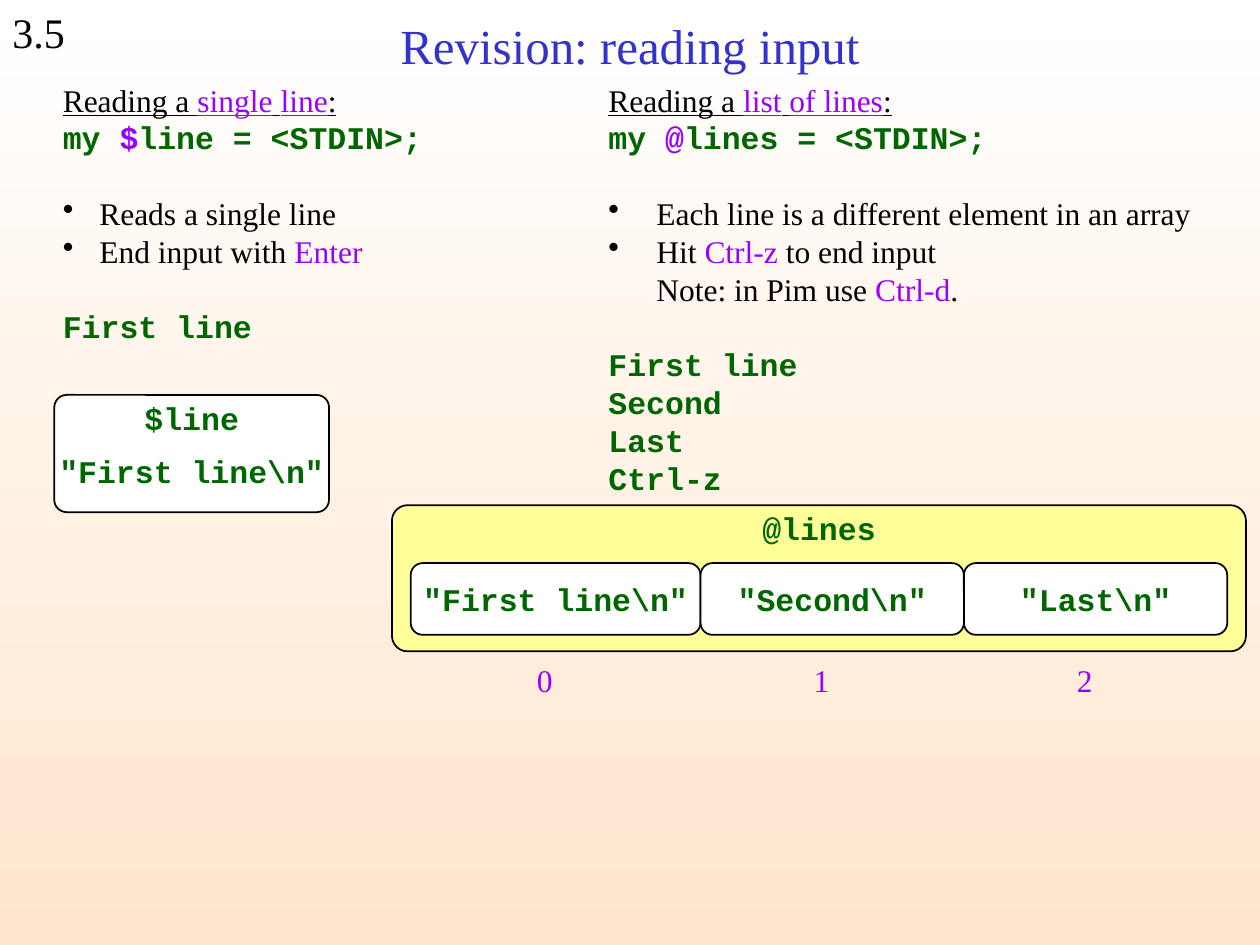
from pptx import Presentation
from pptx.dml.color import RGBColor
from pptx.enum.shapes import MSO_SHAPE
from pptx.enum.text import MSO_ANCHOR, PP_ALIGN
from pptx.oxml.ns import qn
from pptx.util import Pt
from lxml.etree import SubElement

# Theme
THEME = {
    "serif": "Times New Roman", "mono": "Courier New",
    "black": "000000", "title": "3333CC", "code": "006600", "mark": "9900FF",
    "white": "FFFFFF", "array": "FFFF99", "peach": "FFE5CD",
    "body": 18, "head": 28, "number": 24, "pitch": 21.6,
}

# Content: paragraphs are (style, gap before in lines, text); *...* is marked
NUMBER = "3.5"
TITLE = "Revision: reading input"
COLUMNS = [
    # left, width, indent, paragraphs
    (28.8, 300, 20.9, [
        ("under", 0, "Reading a *single* *line*:"),
        ("code", 0, "my *$*line = <STDIN>;"),
        ("bullet", 1, "Reads a single line"),
        ("bullet", 0, "End input with *Enter*"),
        ("code", 1, "First line"),
    ]),
    (340.6, 354, 27.4, [
        ("under", 0, "Reading a *list* *of lines*:"),
        ("code", 0, "my *@*lines = <STDIN>;"),
        ("bullet", 1, "Each line is a different element in an array"),
        ("bullet", 0, "Hit *Ctrl-z* to end input\vNote: in Pim use *Ctrl-d*."),
        ("code", 1, "First line"),
        ("code", 0, "Second"),
        ("code", 0, "Last"),
        ("code", 0, "Ctrl-z"),
    ]),
]
SCALAR = ("$line", r'"First line\n"')
ARRAY = ("@lines", [(r'"First line\n"', 165.6), (r'"Second\n"', 150.5),
                    (r'"Last\n"', 150.5)])


def color(name):
    return RGBColor.from_string(THEME[name])


def style(para, face, size, bold=False):
    font = para.font
    font.name, font.size, font.bold = THEME[face], Pt(THEME[size]), bold


def write(para, text, base):
    """Fill a paragraph, giving the *starred* parts the mark colour."""
    for i, part in enumerate(text.split("*")):
        for j, line in enumerate(part.split("\v")):
            if j:
                para.add_line_break()
            if line:
                run = para.add_run()
                run.text = line
                run.font.color.rgb = color("mark" if i % 2 else base)


def label(shapes, box, text, face="serif", size="body", base="black",
          align=PP_ALIGN.LEFT, anchor=MSO_ANCHOR.TOP):
    frame = shapes.add_textbox(*map(Pt, box)).text_frame
    frame.word_wrap, frame.vertical_anchor = True, anchor
    para = frame.paragraphs[0]
    para.alignment = align
    style(para, face, size, face == "mono")
    write(para, text, base)


def panel(shapes, box, fill, round_by, text=""):
    shape = shapes.add_shape(MSO_SHAPE.ROUNDED_RECTANGLE, *map(Pt, box))
    shape.shadow.inherit = False
    shape.adjustments[0] = round_by
    if fill:
        shape.fill.solid()
        shape.fill.fore_color.rgb = color(fill)
        shape.line.color.rgb = color("black")
        shape.line.width = Pt(1)
    else:
        shape.fill.background()
        shape.line.fill.background()
    if text:
        frame = shape.text_frame
        frame.word_wrap, frame.vertical_anchor = False, MSO_ANCHOR.MIDDLE
        para = frame.paragraphs[0]
        para.alignment = PP_ALIGN.CENTER
        style(para, "mono", "body", True)
        write(para, text, "code")


def column(shapes, left, width, indent, paras):
    box = shapes.add_textbox(Pt(left), Pt(42.5), Pt(width), Pt(324))
    frame = box.text_frame
    frame.word_wrap = True
    for i, (kind, gap, text) in enumerate(paras):
        para = frame.paragraphs[0] if i == 0 else frame.add_paragraph()
        para.line_spacing = Pt(THEME["pitch"])
        if gap:
            para.space_before = Pt(gap * THEME["pitch"])
        props = para._p.get_or_add_pPr()
        props.set("marL", str(Pt(indent)))
        props.set("indent", str(-Pt(indent)))
        if kind == "bullet":
            tint = SubElement(props, qn("a:buClr"))
            SubElement(tint, qn("a:srgbClr")).set("val", THEME["black"])
            SubElement(props, qn("a:buChar")).set("char", "•")
        code = kind == "code"
        style(para, "mono" if code else "serif", "body", code)
        para.font.underline = kind == "under"
        write(para, text, "code" if code else "black")


def indexes(shapes, stops):
    """One line of indexes, each centred on its own tab stop."""
    left = 263.5
    box = shapes.add_textbox(Pt(left), Pt(372.2), Pt(448.6), Pt(31))
    para = box.text_frame.paragraphs[0]
    box.text_frame.word_wrap = True
    para.line_spacing = 1.1
    tabs = SubElement(para._p.get_or_add_pPr(), qn("a:tabLst"))
    for stop in stops:
        tab = SubElement(tabs, qn("a:tab"))
        tab.set("pos", str(Pt(stop - left - 7.2)))
        tab.set("algn", "ctr")
    style(para, "serif", "body")
    write(para, "".join(f"\t{i}" for i in range(len(stops))), "mark")


def main():
    deck = Presentation()
    deck.slide_width, deck.slide_height = Pt(720), Pt(540)
    slide = deck.slides.add_slide(deck.slide_layouts[6])
    shapes = slide.shapes

    # Background
    back = slide.background.fill
    back.gradient()
    back.gradient_angle = 270
    for stop, name in zip(back.gradient_stops, ("white", "peach")):
        stop.color.rgb = color(name)

    # Number, title and the two columns
    label(shapes, (0, 0, 93.6, 36), NUMBER, size="number")
    label(shapes, (54, -19.4, 612, 90), TITLE, size="head", base="title",
          align=PP_ALIGN.CENTER, anchor=MSO_ANCHOR.MIDDLE)
    for col in COLUMNS:
        column(shapes, *col)

    # Scalar variable
    name, value = SCALAR
    group = shapes.add_group_shape().shapes
    panel(group, (31, 225.7, 157, 67), "white", 0.106)
    label(group, (31, 224.4, 157, 28.8), name, "mono", base="code",
          align=PP_ALIGN.CENTER)
    panel(group, (49, 252.7, 121, 32.4), None, 0.167, value)

    # Array variable with its cells and indexes
    name, cells = ARRAY
    group = shapes.add_group_shape().shapes
    panel(group, (224, 288.7, 488, 83.5), "array", 0.106)
    label(group, (224, 287.4, 488, 28.8), name, "mono", base="code",
          align=PP_ALIGN.CENTER)
    x, stops = 234.7, []
    for text, width in cells:
        panel(group, (x, 321.8, width, 41), "white", 0.167, text)
        stops.append(x + width / 2 - 6)
        x += width
    indexes(group, stops)

    deck.save("out.pptx")


if __name__ == "__main__":
    main()
